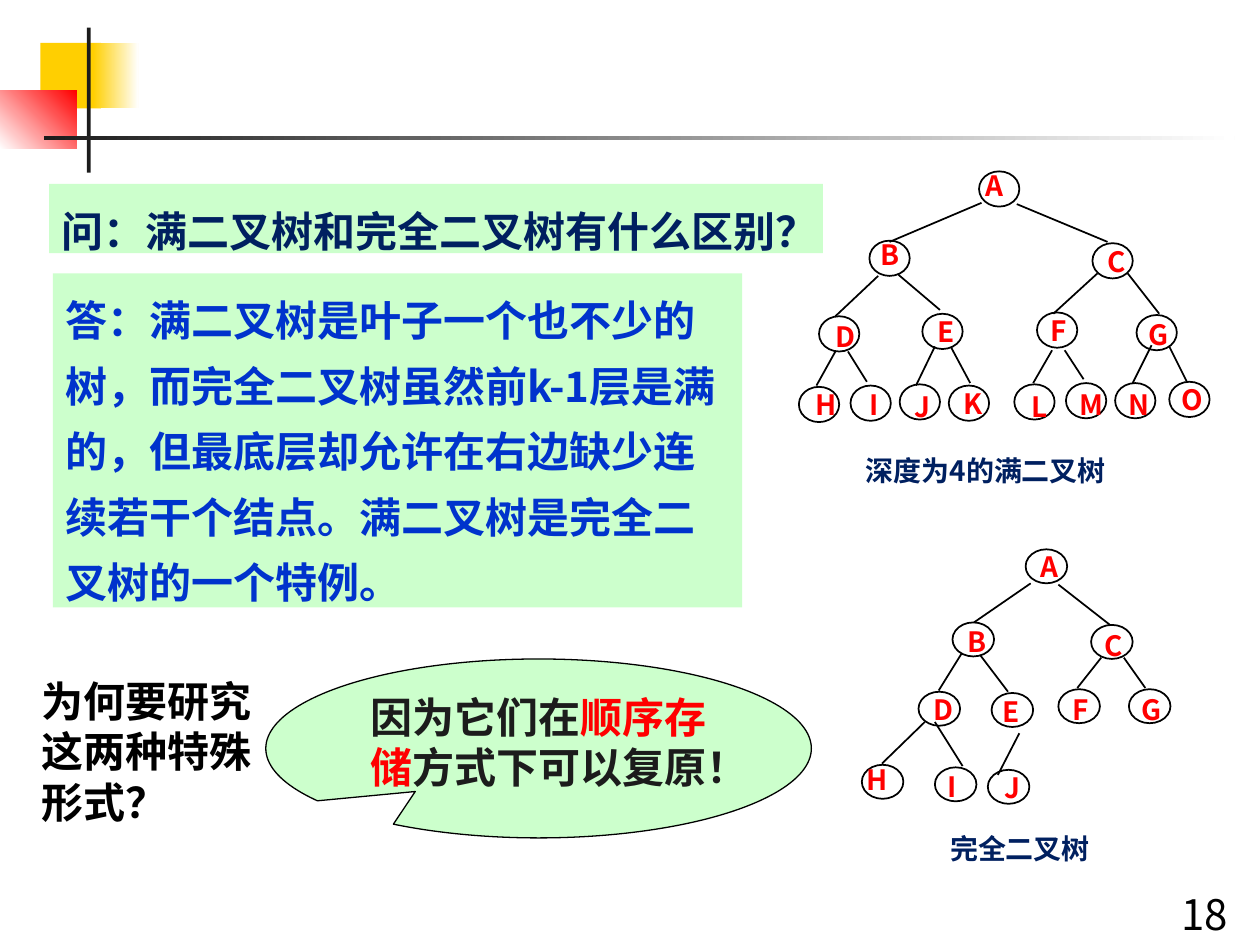
from dataclasses import dataclass
from lxml.etree import SubElement
from pptx import Presentation
from pptx.dml.color import RGBColor
from pptx.enum.shapes import MSO_CONNECTOR, MSO_SHAPE
from pptx.enum.text import MSO_ANCHOR, MSO_AUTO_SIZE, PP_ALIGN
from pptx.oxml.ns import qn
from pptx.util import Inches, Pt


@dataclass(frozen=True)
class Theme:
    face: str = "Noto Sans CJK SC"
    text: int = 24
    small: int = 16
    black: str = "000000"
    dark: str = "1C1C1C"
    white: str = "FFFFFF"
    red: str = "FF0000"
    gold: str = "FFCF01"
    mint: str = "CCFFCC"
    navy: str = "002060"
    blue: str = "0033CC"


THEME = Theme()
WIDE, HIGH = Inches(10), Inches(7.5)
COLS, ROWS = 1000, 750

# Label, node column and row, label column and row, edge from the parent
FULL = [
    ("A", 777, 136, 772, 129, None),
    ("B", 690, 191, 689, 184, (779, 161, 706, 192)),
    ("C", 867, 193, 869, 189, (807, 162, 879, 192)),
    ("D", 650, 251, 653, 249, (697, 219, 663, 251)),
    ("E", 732, 249, 734, 245, (713, 218, 746, 246)),
    ("F", 823, 248, 824, 244, (871, 217, 836, 249)),
    ("G", 902, 250, 902, 247, (895, 217, 920, 249)),
    ("H", 634, 307, 637, 303, (663, 279, 648, 306)),
    ("I", 675, 306, 680, 303, (673, 279, 688, 303)),
    ("J", 714, 305, 716, 304, (742, 275, 727, 306)),
    ("K", 753, 306, 755, 302, (755, 276, 770, 304)),
    ("L", 805, 305, 809, 304, (835, 278, 820, 304)),
    ("M", 846, 304, 847, 303, (845, 278, 860, 301)),
    ("N", 885, 304, 886, 303, (914, 274, 899, 304)),
    ("O", 928, 303, 928, 299, (928, 275, 942, 303)),
]
WHOLE = [
    ("A", 814, 436, 816, 431, None),
    ("B", 756, 494, 758, 491, (818, 463, 773, 494)),
    ("C", 866, 496, 867, 494, (840, 464, 881, 496)),
    ("D", 729, 549, 731, 545, (763, 519, 745, 548)),
    ("E", 787, 550, 786, 546, (778, 520, 800, 549)),
    ("F", 840, 547, 841, 545, (874, 522, 855, 546)),
    ("G", 896, 547, 896, 545, (892, 522, 909, 546)),
    ("H", 684, 607, 678, 600, (734, 573, 700, 606)),
    ("I", 742, 609, 742, 606, (742, 573, 764, 608)),
    ("J", 784, 611, 787, 607, (809, 582, 792, 615)),
]


def cells(*spots):
    """Turn column, row, column, row into lengths on the slide."""
    return [WIDE * n // COLS if i % 2 == 0 else HIGH * n // ROWS
            for i, n in enumerate(spots)]


def tint(code):
    return RGBColor.from_string(code)


def paint(fill, code):
    fill.solid()
    fill.fore_color.rgb = tint(code)


def blend(fill, codes, angle=0):
    fill.gradient()
    fill.gradient_angle = angle
    for stop, code, place in zip(fill.gradient_stops, codes, (0, 1)):
        stop.color.rgb = tint(code)
        stop.position = place


def write(frame, text, color, size=THEME.text, bold=True, align=PP_ALIGN.LEFT):
    """Fill a frame with one paragraph; text is a string or (words, colour) pairs."""
    frame.vertical_anchor = MSO_ANCHOR.TOP
    para = frame.paragraphs[0]
    para.alignment = align
    para.space_before = Pt(0)
    pairs = [(text, color)] if isinstance(text, str) else text
    for words, code in pairs:
        run = para.add_run()
        run.text = words
        if code != color:
            run.font.color.rgb = tint(code)
    font = para.font
    font.size, font.bold, font.name = Pt(size), bold, THEME.face
    font.color.rgb = tint(color)
    base = para._p.pPr.find(qn("a:defRPr"))
    SubElement(base, qn("a:ea"), typeface=THEME.face)
    return para


def label(shapes, spot, text, color, wrap=True, **style):
    frame = shapes.add_textbox(*cells(*spot)).text_frame
    frame.word_wrap = wrap
    if not wrap:
        frame.auto_size = MSO_AUTO_SIZE.SHAPE_TO_FIT_TEXT
    write(frame, text, color, **style)


def form(shapes, kind, spot, line=None, width=1):
    shape = shapes.add_shape(kind, *cells(*spot))
    shape.shadow.inherit = False
    if line:
        shape.line.color.rgb = tint(line)
        shape.line.width = Pt(width)
    else:
        shape.line.fill.background()
    return shape


def edge(shapes, ends):
    link = shapes.add_connector(MSO_CONNECTOR.STRAIGHT, *cells(*ends))
    link.line.color.rgb = tint(THEME.black)
    link.line.width = Pt(1)
    SubElement(link._element.spPr, qn("a:effectLst"))


def tree(slide, nodes, size, title, spot):
    shapes = slide.shapes.add_group_shape().shapes
    for name, col, row, left, top, ends in nodes:
        oval = form(shapes, MSO_SHAPE.OVAL, (col, row, *size), THEME.black)
        oval.fill.background()
        if ends:
            edge(shapes, ends)
        label(shapes, (left, top, 32, 37), name, THEME.red, wrap=False,
              size=THEME.small)
    label(shapes, spot, title, THEME.navy, size=THEME.small,
          align=PP_ALIGN.CENTER)


def decor(slide):
    blocks = [
        ((32, 34, 48, 52), (THEME.gold,), 0),
        ((74, 34, 36, 52), (THEME.gold, THEME.white), 0),
        ((0, 72, 61, 46), (THEME.white, THEME.red), 45),
        ((69, 22, 3, 115), (THEME.dark,), 0),
        ((35, 108, 945, 3), (THEME.dark, THEME.white), 0),
    ]
    for spot, codes, angle in blocks:
        fill = form(slide.shapes, MSO_SHAPE.RECTANGLE, spot).fill
        if len(codes) == 1:
            paint(fill, codes[0])
        else:
            blend(fill, codes, angle)


def panel(holder, spot, text, color):
    """Place a placeholder as a plain block of text on mint."""
    holder.left, holder.top, holder.width, holder.height = cells(*spot)
    paint(holder.fill, THEME.mint)
    frame = holder.text_frame
    frame.word_wrap = True
    frame.auto_size = MSO_AUTO_SIZE.NONE
    props = frame.paragraphs[0]._p.get_or_add_pPr()
    props.set("marL", "0")
    props.set("indent", "0")
    SubElement(props, qn("a:buNone"))
    write(frame, text, color).line_spacing = 1.3


def reply(slide):
    shape = form(slide.shapes, MSO_SHAPE.OVAL_CALLOUT, (211, 523, 433, 142),
                 THEME.black, 0.75)
    shape.adjustments[0], shape.adjustments[1] = -0.226, 0.241
    paint(shape.fill, THEME.mint)
    shape.text_frame.word_wrap = True
    write(shape.text_frame,
          [("因为它们在", THEME.dark), ("顺序存储", THEME.red),
           ("方式下可以复原！", THEME.dark)],
          THEME.dark, align=PP_ALIGN.CENTER)


def main():
    deck = Presentation()
    deck.slide_width, deck.slide_height = WIDE, HIGH
    slide = deck.slides.add_slide(deck.slide_layouts[1])
    decor(slide)
    panel(slide.shapes.title, (39, 146, 614, 55),
          "问：满二叉树和完全二叉树有什么区别？", THEME.navy)
    panel(slide.placeholders[1], (42, 217, 547, 265),
          "答：满二叉树是叶子一个也不少的树，而完全二叉树虽然前k-1层是满的，"
          "但最底层却允许在右边缺少连续若干个结点。满二叉树是完全二叉树的一个特例。",
          THEME.blue)
    tree(slide, FULL, (32, 28), "深度为4的满二叉树", (676, 355, 213, 37))
    tree(slide, WHOLE, (33, 27), "完全二叉树", (743, 655, 133, 37))
    label(slide.shapes, (23, 531, 200, 131), "为何要研究这两种特殊形式？",
          THEME.black)
    reply(slide)
    label(slide.shapes, (928, 700, 72, 50), "18", THEME.black, bold=False)
    deck.save("out.pptx")


if __name__ == "__main__":
    main()
